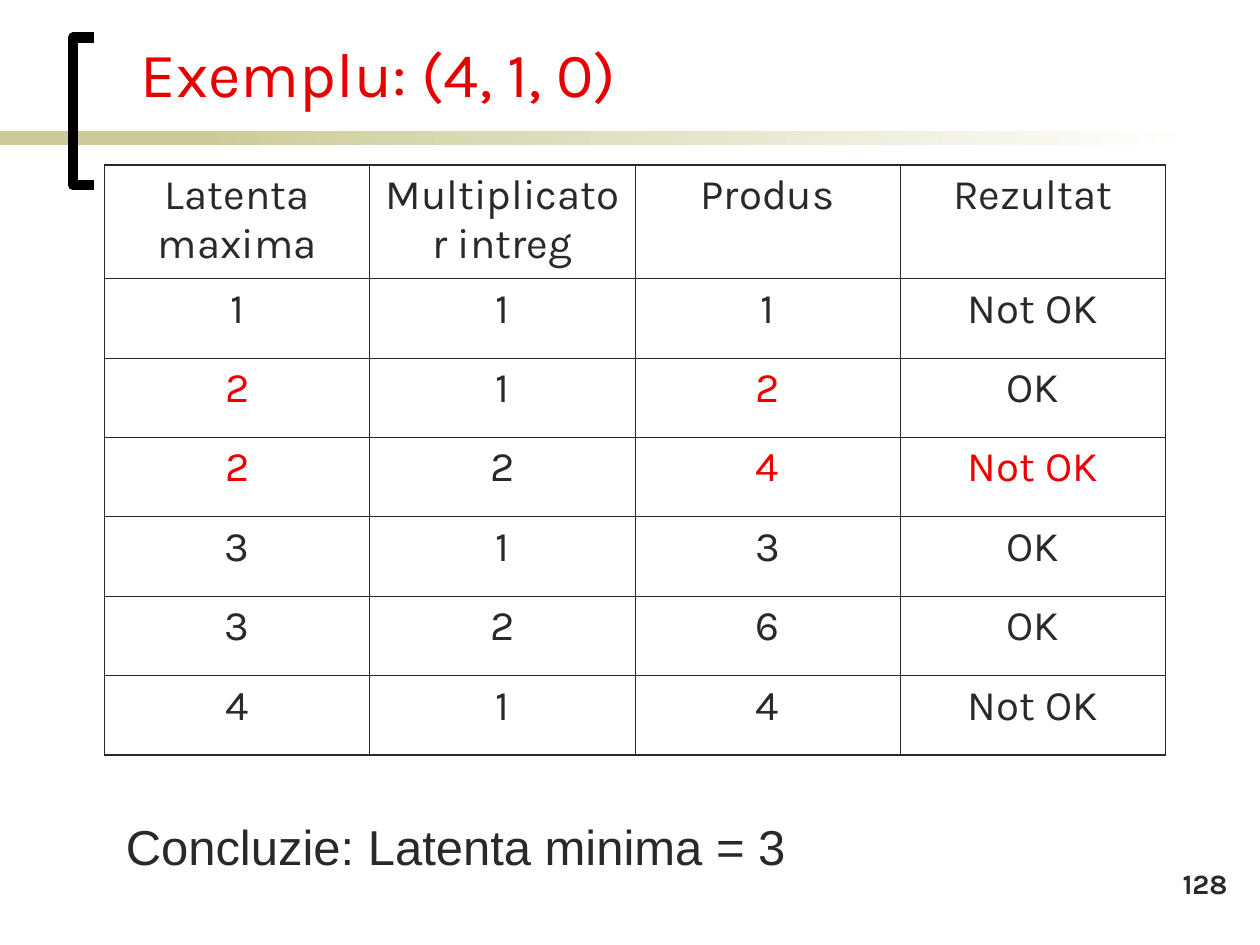
"""Builds the slide that tests latencies for the (4, 1, 0) example."""
from lxml import etree
from pptx import Presentation
from pptx.dml.color import RGBColor
from pptx.enum.shapes import MSO_SHAPE
from pptx.enum.text import MSO_ANCHOR, PP_ALIGN
from pptx.oxml.ns import qn
from pptx.util import Inches, Pt

RECTANGLE = MSO_SHAPE.RECTANGLE
TOP, BOTTOM = MSO_ANCHOR.TOP, MSO_ANCHOR.BOTTOM
LEFT, CENTER, RIGHT = PP_ALIGN.LEFT, PP_ALIGN.CENTER, PP_ALIGN.RIGHT

COLORS = {
    "ink": "292929",
    "title": "E60000",
    "highlight": "EE0000",
    "band": "CCCC99",
    "white": "FFFFFF",
    "bracket": "000000",
}


def write(frame, text, size=24, font="Karla", color="ink", align=LEFT, anchor=TOP, bold=False):
    frame.word_wrap = True
    frame.vertical_anchor = anchor
    paragraph = frame.paragraphs[0]
    paragraph.alignment = align
    run = paragraph.add_run()
    run.text = text
    run.font.size = Pt(size)
    run.font.name = font
    run.font.bold = bold
    run.font.color.rgb = RGBColor.from_string(COLORS[color])


def set_border(cell, position, side, width):
    border = etree.Element(qn(f"a:ln{side}"), w=str(Pt(width)))
    fill = etree.SubElement(border, qn("a:solidFill"))
    etree.SubElement(fill, qn("a:srgbClr"), val=COLORS["ink"])
    cell._tc.get_or_add_tcPr().insert(position, border)


prs = Presentation()
prs.slide_width, prs.slide_height = Inches(10), Inches(7.5)
slide = prs.slides.add_slide(prs.slide_layouts[6])
shapes = slide.shapes

for left, width, fades in [(0, 2.33, False), (1.58, 7.92, True)]:
    band = shapes.add_shape(RECTANGLE, Inches(left), Inches(1.04), Inches(width), Inches(0.11))
    band.shadow.inherit = False
    band.line.fill.background()
    if fades:
        band.fill.gradient()
        band.fill.gradient_angle = 0
        for stop, color in zip(band.fill.gradient_stops, ("band", "white")):
            stop.color.rgb = RGBColor.from_string(COLORS[color])
    else:
        band.fill.solid()
        band.fill.fore_color.rgb = RGBColor.from_string(COLORS["band"])

outline = shapes.build_freeform(Inches(0.75), Inches(1.47))
outline.add_line_segments(
    [(Inches(x), Inches(y)) for x, y in [(0.58, 1.47), (0.58, 0.3), (0.75, 0.3)]], close=False
)
bracket = outline.convert_to_shape()
bracket.shadow.inherit = False
bracket.fill.background()
bracket.line.width = Pt(6)
bracket.line.color.rgb = RGBColor.from_string(COLORS["bracket"])

title = shapes.add_textbox(Inches(1.02), Inches(0.11), Inches(7.83), Inches(0.81))
write(title.text_frame, "Exemplu: (4, 1, 0)", size=36, color="title", anchor=BOTTOM)

results = [
    ("Latenta maxima", "Multiplicator intreg", "Produs", "Rezultat"),
    ("1", "1", "1", "Not OK"),
    ("2", "1", "2", "OK"),
    ("2", "2", "4", "Not OK"),
    ("3", "1", "3", "OK"),
    ("3", "2", "6", "OK"),
    ("4", "1", "4", "Not OK"),
]
highlighted = {(2, 0), (2, 2), (3, 0), (3, 2), (3, 3)}
last_row, last_column = len(results) - 1, len(results[0]) - 1

table = shapes.add_table(
    len(results), len(results[0]), Inches(0.83), Inches(1.31), Inches(8.42), Inches(4.71)
).table
table.first_row = table.horz_banding = False
for column in table.columns:
    column.width = Inches(8.42 / len(results[0]))
for r, row in enumerate(table.rows):
    row.height = Inches(0.63 if r else 0.9)

for r, values in enumerate(results):
    for c, value in enumerate(values):
        cell = table.cell(r, c)
        cell.fill.background()
        color = "highlight" if (r, c) in highlighted else "ink"
        write(cell.text_frame, value, color=color, align=CENTER)
        outer_edges = [("L", c == 0), ("R", c == last_column), ("T", r == 0), ("B", r == last_row)]
        for position, (side, is_outer) in enumerate(outer_edges):
            set_border(cell, position, side, 1.08 if is_outer else 0.45)

conclusion = shapes.add_textbox(Inches(0.9), Inches(6.43), Inches(7.17), Inches(0.57))
write(conclusion.text_frame, "Concluzie: Latenta minima = 3", size=28, font="Arial")

page_number = shapes.add_textbox(Inches(7.76), Inches(6.83), Inches(2.08), Inches(0.5))
write(page_number.text_frame, "128", size=16, align=RIGHT, bold=True)

prs.save("out.pptx")
